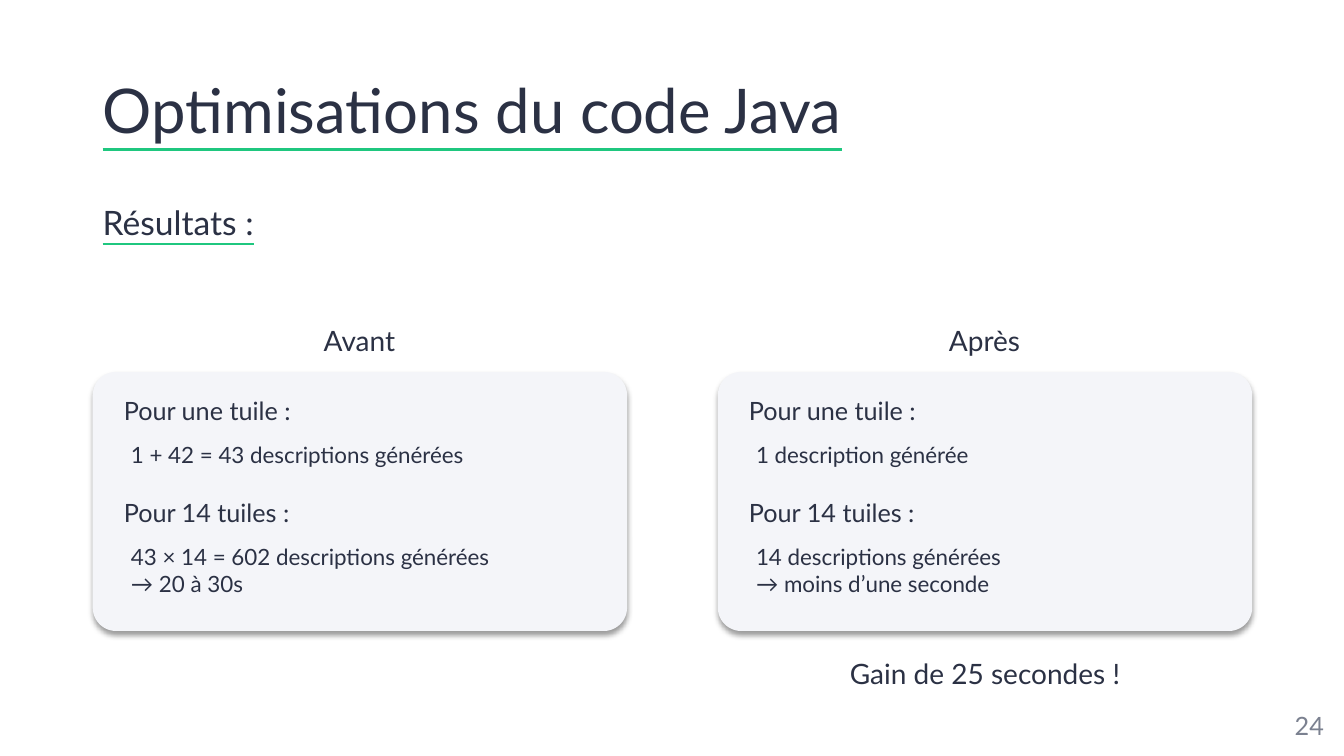
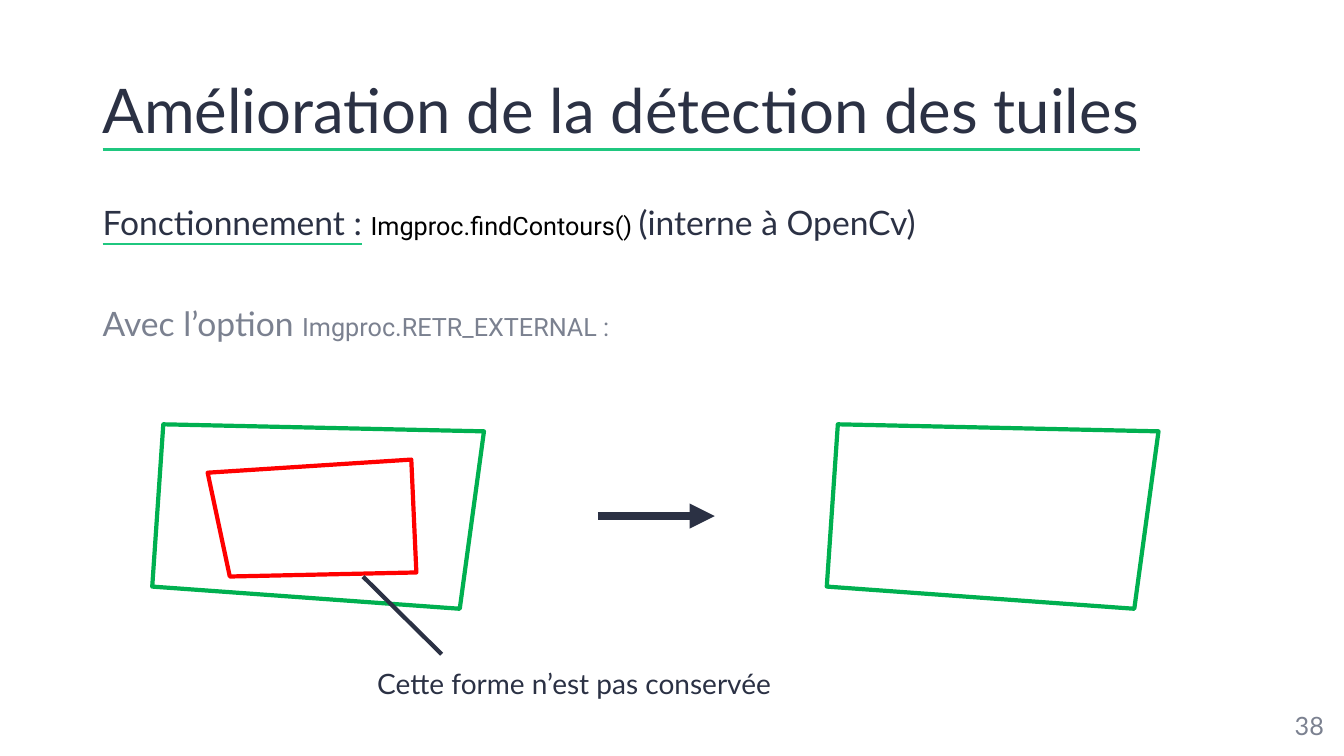
from lxml import etree
from pptx import Presentation
from pptx.dml.color import RGBColor
from pptx.enum.shapes import MSO_CONNECTOR, MSO_SHAPE
from pptx.enum.text import MSO_ANCHOR, PP_ALIGN
from pptx.oxml import parse_xml
from pptx.oxml.ns import nsdecls, qn
from pptx.util import Pt

PX = 9144
LEFT, CENTER, RIGHT = PP_ALIGN.LEFT, PP_ALIGN.CENTER, PP_ALIGN.RIGHT
TOP, MIDDLE = MSO_ANCHOR.TOP, MSO_ANCHOR.MIDDLE
ROUNDED, STRAIGHT = MSO_SHAPE.ROUNDED_RECTANGLE, MSO_CONNECTOR.STRAIGHT
INK, GREY, CARD = "2B3144", "7B8190", "F4F5F9"
ACCENT, KEPT, DROPPED = "1FC77F", "00B050", "FF0000"
rgb = RGBColor.from_string


def add_text(slide, box, lines, size, color=INK, align=LEFT, anchor=TOP):
    frame = slide.shapes.add_textbox(*(n * PX for n in box)).text_frame
    frame.word_wrap = True
    frame.vertical_anchor = anchor
    frame.text = "\n".join(lines)
    for paragraph in frame.paragraphs:
        paragraph.alignment = align
        paragraph.font.size = Pt(size)
        paragraph.font.name = "Lato"
        paragraph.font.color.rgb = rgb(color)
    return frame


def add_run(paragraph, words, size, face="Lato", color=INK, underlined=False):
    run = paragraph.add_run()
    run.text = words
    run.font.size = Pt(size)
    run.font.name = face
    run.font.color.rgb = rgb(color)
    if underlined:
        run.font.underline = True
        run.font.fill._xPr.find(qn("a:solidFill")).addnext(parse_xml(
            f'<a:uFill {nsdecls("a")}><a:solidFill><a:srgbClr val="{ACCENT}"/>'
            "</a:solidFill></a:uFill>"))


deck = Presentation()
deck.slide_width, deck.slide_height = 1333 * PX, 750 * PX

pages = []
for title, number, heading, height in (
    ("Optimisations du code Java", "24", "Résultats :", 71),
    ("Amélioration de la détection des tuiles", "38", "Fonctionnement :", 476),
):
    slide = deck.slides.add_slide(deck.slide_layouts[6])
    title_frame = add_text(slide, (92, 40, 1150, 145), [], 44, anchor=MIDDLE)
    body = add_text(slide, (92, 200, 1150, height), [], 24)
    for frame, words, size in ((title_frame, title, 44), (body, heading, 24)):
        frame.paragraphs[0].line_spacing = 0.9
        add_run(frame.paragraphs[0], words, size, underlined=True)
    add_text(slide, (1023, 700, 300, 40), [number], 18, GREY, RIGHT, MIDDLE)
    pages.append((slide, body))

results = pages[0][0]
for left, label, one_tile, all_tiles in (
    (92, "Avant", "1 + 42 = 43 descriptions générées",
     ["43 × 14 = 602 descriptions générées", "→ 20 à 30s"]),
    (712, "Après", "1 description générée",
     ["14 descriptions générées", "→ moins d’une seconde"]),
):
    card = results.shapes.add_shape(ROUNDED, left * PX, 369 * PX, 530 * PX, 257 * PX)
    card.adjustments[0] = 0.09
    card.fill.solid()
    card.fill.fore_color.rgb = rgb(CARD)
    card.line.fill.background()
    card.shadow.inherit = False
    card._element.spPr.find(qn("a:effectLst")).append(parse_xml(
        f'<a:outerShdw {nsdecls("a")} blurRad="{Pt(4)}" dist="{Pt(3)}" dir="5400000" '
        'algn="t" rotWithShape="0"><a:srgbClr val="000000"><a:alpha val="40000"/>'
        "</a:srgbClr></a:outerShdw>"))
    add_text(results, (left + 149, 316, 231, 44), [label], 20, align=CENTER)
    add_text(results, (left + 21, 387, 231, 40), ["Pour une tuile :"], 18)
    add_text(results, (left + 28, 433, 455, 37), [one_tile], 16)
    add_text(results, (left + 21, 488, 231, 40), ["Pour 14 tuiles :"], 18)
    add_text(results, (left + 28, 534, 455, 64), all_tiles, 16)
add_text(results, (767, 646, 420, 44), ["Gain de 25 secondes !"], 20, align=CENTER)

detection, body = pages[1]
function_line = body.paragraphs[0]
add_run(function_line, " ", 24)
add_run(function_line, "Imgproc.findContours() ", 18, "Roboto", "000000")
add_run(function_line, "(interne à OpenCv)", 24)
option_line = body.add_paragraph()
option_line.line_spacing = 0.9
option_line.space_before = Pt(46)
add_run(option_line, "Avec l’option ", 24, color=GREY)
add_run(option_line, "Imgproc.RETR_EXTERNAL :", 18, "Roboto", GREY)

inner = [(206, 469), (408, 456), (413, 568), (228, 572)]
outer = [(151, 582), (162, 421), (480, 428), (456, 604)]
kept = [(x + 669, y) for x, y in outer]
for corners, color in ((inner, DROPPED), (outer, KEPT), (kept, KEPT)):
    builder = detection.shapes.build_freeform(*corners[0], scale=PX)
    builder.add_line_segments(corners[1:], close=True)
    contour = builder.convert_to_shape()
    contour.fill.background()
    contour.line.color.rgb = rgb(color)
    contour.line.width = Pt(3)
    contour.shadow.inherit = False

add_text(detection, (326, 656, 487, 44), ["Cette forme n’est pas conservée"], 20, align=CENTER)
for ends, width, arrow in (((593, 512, 709, 512), 6, True), ((360, 572, 438, 649), 3, False)):
    link = detection.shapes.add_connector(STRAIGHT, *(n * PX for n in ends))
    link.line.color.rgb = rgb(INK)
    link.line.width = Pt(width)
    properties = link._element.spPr
    if arrow:
        etree.SubElement(properties.find(qn("a:ln")), qn("a:tailEnd"), type="triangle")
    etree.SubElement(properties, qn("a:effectLst"))

deck.save("out.pptx")
